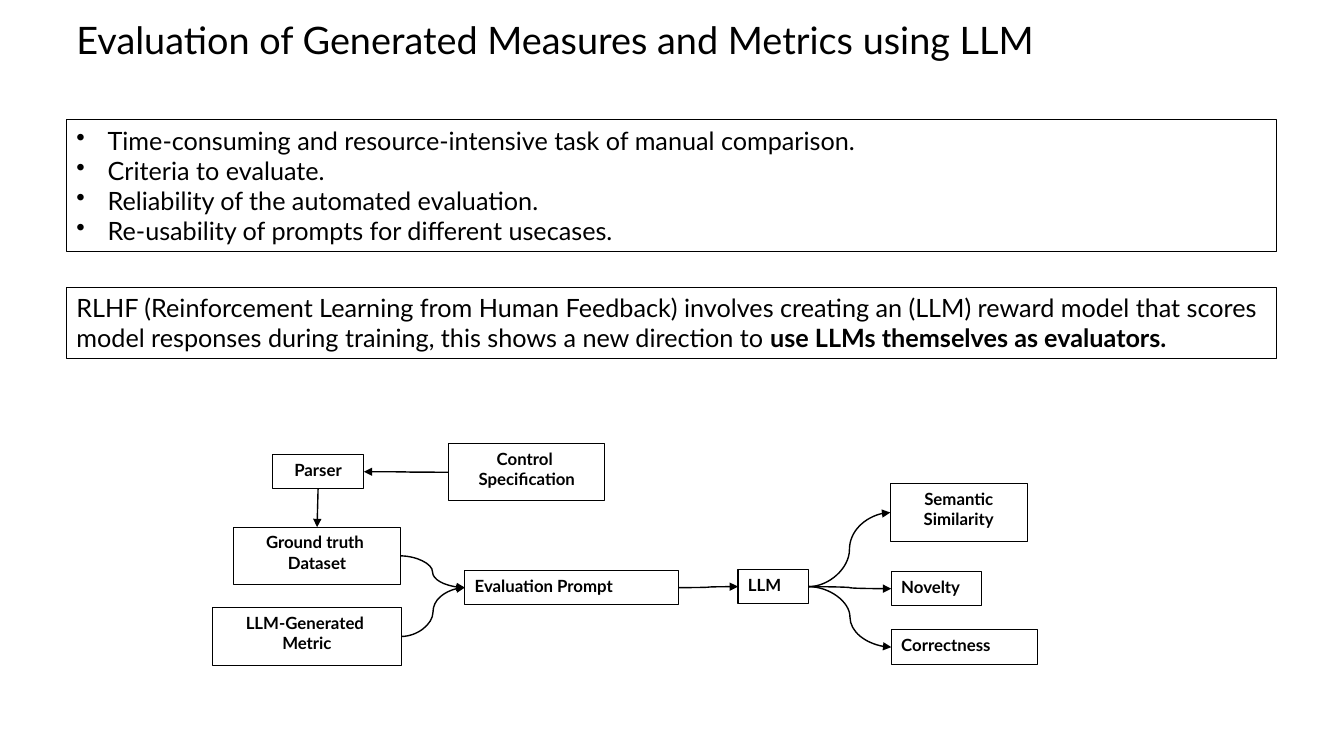
import dataclasses

import lxml.etree
import pptx
import pptx.dml.color
import pptx.enum.shapes
import pptx.enum.text
import pptx.oxml.ns
import pptx.shapes.autoshape
import pptx.shapes.base
import pptx.shapes.shapetree
import pptx.text.text
import pptx.util

BLACK = pptx.dml.color.RGBColor(0, 0, 0)
FONT = "Lato"
PX = 9144  # 100 px to the inch
LEFT = pptx.enum.text.PP_ALIGN.LEFT
MID = pptx.enum.text.PP_ALIGN.CENTER
CURVE = pptx.enum.shapes.MSO_CONNECTOR.CURVE
LINE = pptx.enum.shapes.MSO_CONNECTOR.STRAIGHT
TOP, WEST, BASE, EAST = range(4)


@dataclasses.dataclass(frozen=True)
class Run:
    text: str
    bold: bool = False


@dataclasses.dataclass(frozen=True)
class Node:
    key: str
    x: int
    y: int
    w: int
    h: int
    lines: tuple[str, ...]
    align: pptx.enum.text.PP_ALIGN = MID


@dataclasses.dataclass(frozen=True)
class Link:
    start: str
    end: str
    out: int = EAST
    into: int = WEST
    kind: pptx.enum.shapes.MSO_CONNECTOR = CURVE


NODES = (
    Node("parser", 270, 451, 91, 34, ("Parser",)),
    Node("source", 445, 440, 155, 57, ("Control ", "Specification")),
    Node("truth", 232, 523, 165, 57, ("Ground truth ", "Dataset")),
    Node("metric", 211, 603, 187, 57, ("LLM-Generated ", "Metric")),
    Node("prompt", 461, 566, 212, 34, ("Evaluation Prompt",), LEFT),
    Node("model", 732, 565, 70, 34, ("LLM",), LEFT),
    Node("likeness", 883, 480, 136, 57, ("Semantic Similarity",)),
    Node("novel", 884, 567, 90, 34, ("Novelty",), LEFT),
    Node("correct", 884, 625, 145, 34, ("Correctness",), LEFT),
)

LINKS = (
    Link("source", "parser", WEST, EAST),
    Link("parser", "truth", BASE, TOP, LINE),
    Link("truth", "prompt"),
    Link("metric", "prompt"),
    Link("prompt", "model"),
    Link("model", "likeness"),
    Link("model", "novel"),
    Link("model", "correct"),
)

ISSUES = (
    "Time-consuming and resource-intensive task of manual comparison.",
    "Criteria to evaluate.",
    "Reliability of the automated evaluation.",
    "Re-usability of prompts for different usecases.",
)

CLAIM = (
    Run(
        "RLHF (Reinforcement Learning from Human Feedback) involves creating an "
        "(LLM) reward model that scores model responses during training, "
        "this shows a new direction to "
    ),
    Run("use LLMs themselves as evaluators.", True),
)


def px(size: int) -> pptx.util.Emu:
    return pptx.util.Emu(size * PX)


def write(
    shape: pptx.shapes.autoshape.Shape,
    paras: list[tuple[Run, ...]],
    size: int,
    align: pptx.enum.text.PP_ALIGN = LEFT,
) -> None:
    frame = shape.text_frame
    frame.word_wrap = True
    frame.vertical_anchor = pptx.enum.text.MSO_ANCHOR.TOP
    for i, runs in enumerate(paras):
        para = frame.paragraphs[0] if i == 0 else frame.add_paragraph()
        para.alignment = align
        for item in runs:
            run = para.add_run()
            run.text = item.text
            run.font.name = FONT
            run.font.size = pptx.util.Pt(size)
            run.font.bold = item.bold
            run.font.color.rgb = BLACK


def add_box(
    shapes: pptx.shapes.shapetree.SlideShapes, x: int, y: int, w: int, h: int
) -> pptx.shapes.autoshape.Shape:
    box = shapes.add_shape(
        pptx.enum.shapes.MSO_SHAPE.RECTANGLE, px(x), px(y), px(w), px(h)
    )
    box.shadow.inherit = False
    box.fill.background()
    box.line.color.rgb = BLACK
    box.line.width = pptx.util.Pt(0.75)
    return box


def add_dot(para: pptx.text.text._Paragraph) -> None:
    """Give a paragraph a bullet with a hanging indent."""
    props = para._p.get_or_add_pPr()
    props.set("marL", str(px(31)))
    props.set("indent", str(-px(31)))
    dot = lxml.etree.SubElement(props, pptx.oxml.ns.qn("a:buChar"))
    dot.set("char", "•")


def add_link(
    shapes: pptx.shapes.shapetree.SlideShapes,
    link: Link,
    boxes: dict[str, pptx.shapes.autoshape.Shape],
) -> None:
    wire = shapes.add_connector(link.kind, 0, 0, 0, 0)
    wire.begin_connect(boxes[link.start], link.out)
    wire.end_connect(boxes[link.end], link.into)
    wire.line.color.rgb = BLACK
    wire.line.width = pptx.util.Pt(1)
    props = wire.element.spPr
    stroke = props.find(pptx.oxml.ns.qn("a:ln"))
    head = lxml.etree.SubElement(stroke, pptx.oxml.ns.qn("a:tailEnd"))
    head.set("type", "triangle")
    lxml.etree.SubElement(props, pptx.oxml.ns.qn("a:effectLst"))


def main() -> None:
    deck = pptx.Presentation()
    deck.slide_width, deck.slide_height = px(1333), px(750)
    shapes = deck.slides.add_slide(deck.slide_layouts[6]).shapes

    title = shapes.add_textbox(px(66), px(12), px(1221), px(57))
    write(title, [(Run("Evaluation of Generated Measures and Metrics using LLM"),)], 27)

    issues = add_box(shapes, 66, 119, 1200, 131)
    write(issues, [(Run(text),) for text in ISSUES], 18)
    for para in issues.text_frame.paragraphs:
        add_dot(para)

    write(add_box(shapes, 66, 285, 1200, 71), [CLAIM], 18)

    boxes: dict[str, pptx.shapes.autoshape.Shape] = {}
    for node in NODES:
        box = add_box(shapes, node.x, node.y, node.w, node.h)
        write(box, [(Run(text, True),) for text in node.lines], 12, node.align)
        boxes[node.key] = box
    for link in LINKS:
        add_link(shapes, link, boxes)

    deck.save("out.pptx")


if __name__ == "__main__":
    main()
